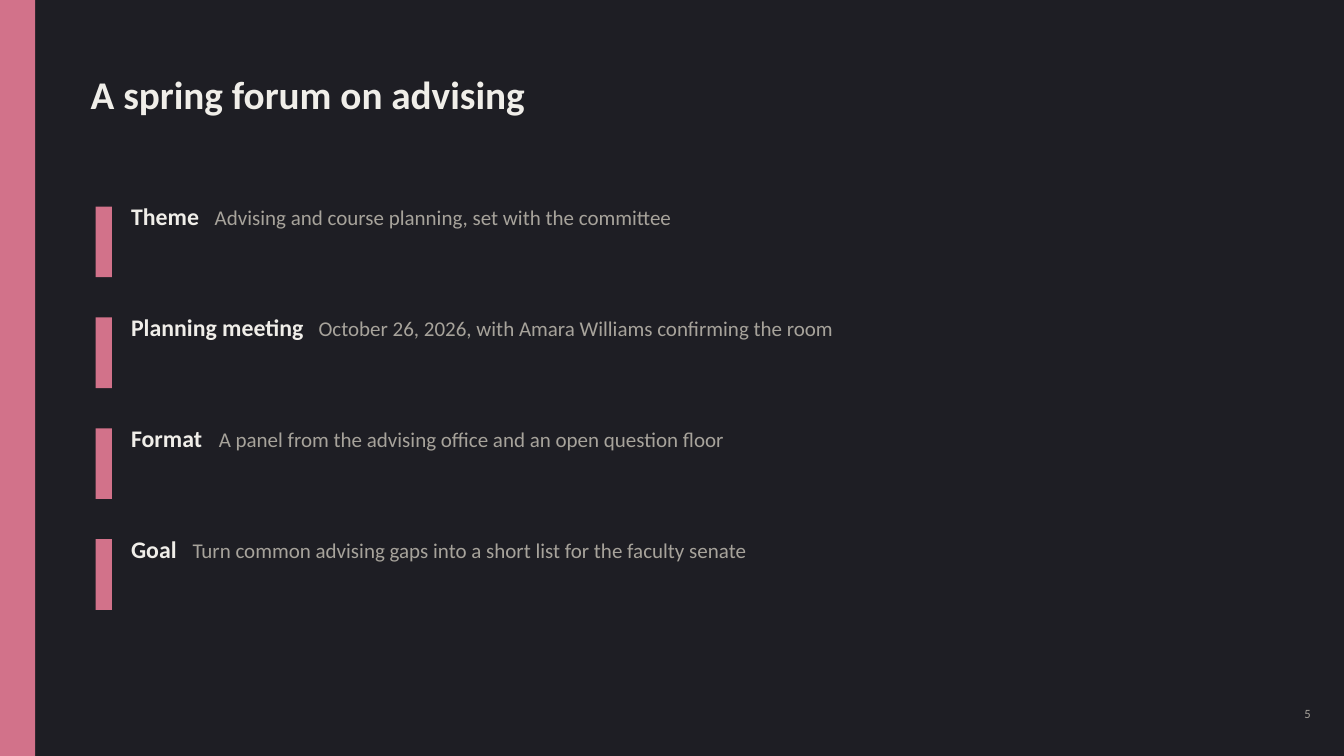
from lxml.etree import SubElement
from pptx import Presentation
from pptx.dml.color import RGBColor
from pptx.enum.shapes import MSO_SHAPE as Shape
from pptx.enum.text import MSO_AUTO_SIZE as Fit, PP_ALIGN as Align
from pptx.oxml.ns import qn
from pptx.util import Inches, Pt

DARK = RGBColor(0x1E, 0x1E, 0x24)
ROSE = RGBColor(0xD2, 0x72, 0x8A)
LIGHT = RGBColor(0xF0, 0xEE, 0xE9)
GREY = RGBColor(0xA7, 0xA3, 0x9B)
FONT = "Calibri"

# Grid of square cells, ten to the inch
CELL = Inches(0.1)
WIDE, HIGH = 133.3, 75
FIRST, STEP = 20, 11

# Label, detail, and the column where the detail starts within its row
ITEMS = [
    ("Theme", "Advising and course planning, set with the committee", 8.3),
    ("Planning meeting",
     "October 26, 2026, with Amara Williams confirming the room", 18.6),
    ("Format",
     "A panel from the advising office and an open question floor", 8.7),
    ("Goal",
     "Turn common advising gaps into a short list for the faculty senate", 6.1),
]


def grid(*cells):
    return [round(cell * CELL) for cell in cells]


def add_bar(slide, *area):
    bar = slide.shapes.add_shape(Shape.RECTANGLE, *grid(*area))
    bar.shadow.inherit = False
    bar.fill.solid()
    bar.fill.fore_color.rgb = ROSE
    bar.line.fill.background()


def add_box(slide, *area, align=Align.LEFT, tab=None):
    """Add a text box without margins and return its paragraph."""
    frame = slide.shapes.add_textbox(*grid(*area)).text_frame
    frame.margin_left = frame.margin_right = 0
    frame.margin_top = frame.margin_bottom = 0
    frame.word_wrap = True
    frame.auto_size = Fit.SHAPE_TO_FIT_TEXT
    para = frame.paragraphs[0]
    if tab:
        stops = SubElement(para._p.get_or_add_pPr(), qn("a:tabLst"))
        SubElement(stops, qn("a:tab"), pos=str(grid(tab)[0]), algn="l")
    para.alignment = align
    para.space_after = Pt(6)
    return para


def write(para, text, size=15, color=GREY, bold=False):
    run = para.add_run()
    run.text = text
    font = run.font
    font.name, font.size, font.bold = FONT, Pt(size), bold
    font.color.rgb = color


def add_item(slide, row, label, detail, tab):
    add_bar(slide, 9.5, row + 0.5, 1.6, 7)
    para = add_box(slide, 13, row, 110, 9, tab=tab)
    write(para, label + "\t", size=17, color=LIGHT, bold=True)
    write(para, detail)


def main():
    deck = Presentation()
    deck.slide_width, deck.slide_height = grid(WIDE, HIGH)
    slide = deck.slides.add_slide(deck.slide_layouts[6])
    slide.background.fill.solid()
    slide.background.fill.fore_color.rgb = DARK

    # Side band and title
    add_bar(slide, 0, 0, 3.5, HIGH)
    title = add_box(slide, 9, 7, 115, 10)
    write(title, "A spring forum on advising", size=28, color=LIGHT, bold=True)

    # Forum details
    for index, item in enumerate(ITEMS):
        add_item(slide, FIRST + index * STEP, *item)

    # Page number
    write(add_box(slide, 124, 70, 6, 4, align=Align.RIGHT), "5", size=9)

    deck.save("out.pptx")


if __name__ == "__main__":
    main()
